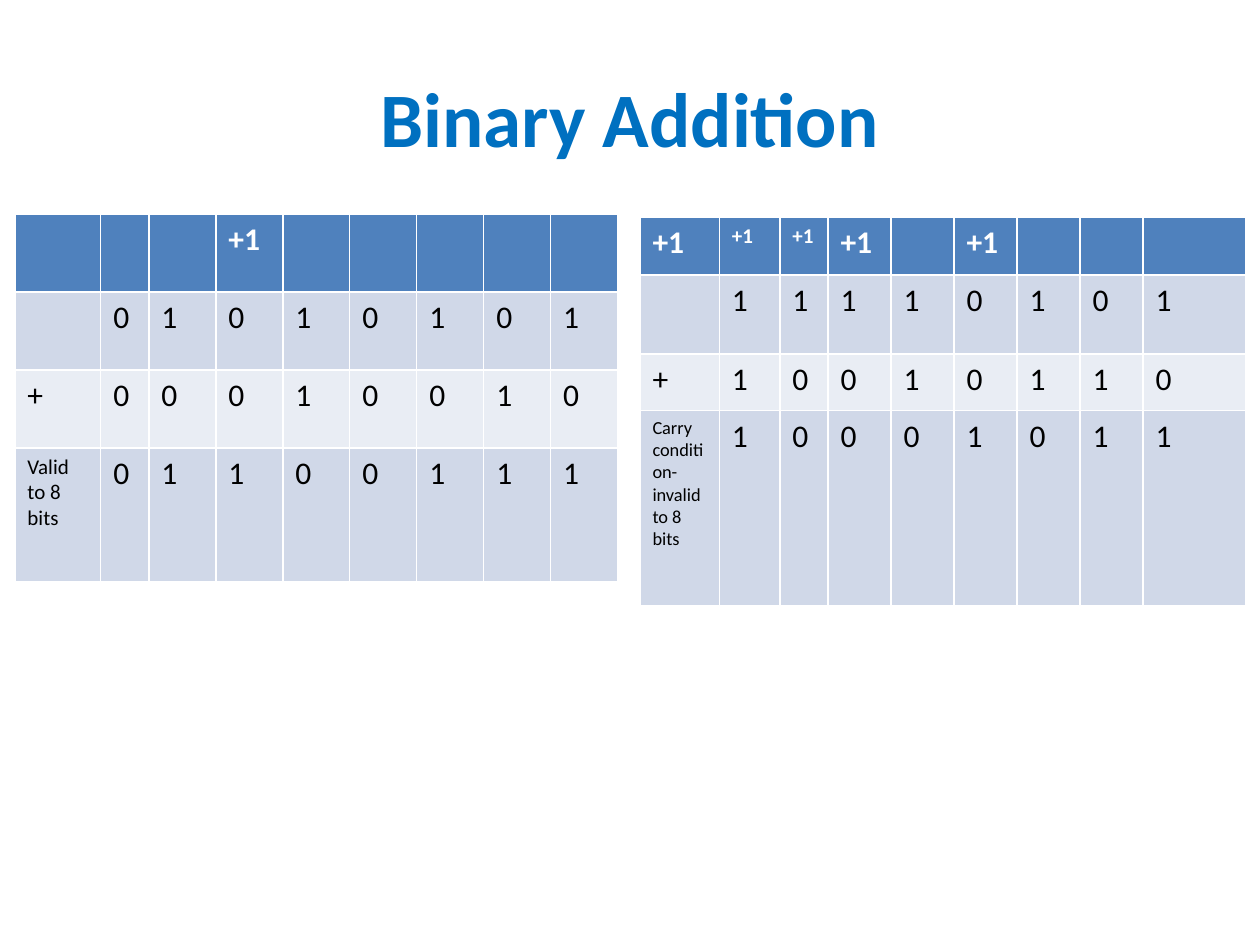
from pptx import Presentation
from pptx.dml.color import RGBColor
from pptx.enum.text import MSO_ANCHOR, PP_ALIGN
from pptx.util import Cm, Pt

FONT = "Calibri"
HEADER_FILL = "4F81BD"
BAND_FILLS = ("D0D8E8", "E9EDF4")


def colour(hex_code):
    """Return the colour for a hex string."""
    return RGBColor.from_string(hex_code)


def add_run(paragraph, text, size, hex_code, bold=False):
    """Append one formatted run to a paragraph."""
    run = paragraph.add_run()
    run.text = text
    run.font.name = FONT
    run.font.size = Pt(size)
    run.font.bold = bold
    run.font.color.rgb = colour(hex_code)


def set_title(slide, text):
    """Place and fill the title placeholder."""
    title = slide.shapes.title
    title.left, title.top, title.width, title.height = Cm(1.27), Cm(0.76), Cm(22.86), Cm(3.18)
    frame = title.text_frame
    frame.vertical_anchor = MSO_ANCHOR.MIDDLE
    heading = frame.paragraphs[0]
    heading.alignment = PP_ALIGN.CENTER
    add_run(heading, text, 44, "0070C0", bold=True)


def add_sum(slide, left, top, widths, heights, rows, small_sizes):
    """Add a binary sum with carries in its header row."""
    frame = slide.shapes.add_table(len(rows), len(widths), Cm(left), Cm(top),
                                   Cm(sum(widths)), Cm(sum(heights)))
    sum_table = frame.table
    for column, width in zip(sum_table.columns, widths):
        column.width = Cm(width)
    for row, height in zip(sum_table.rows, heights):
        row.height = Cm(height)
    for r, entries in enumerate(rows):
        is_header = r == 0
        for c, entry in enumerate(entries):
            cell = sum_table.cell(r, c)
            cell.fill.solid()
            cell.fill.fore_color.rgb = colour(HEADER_FILL if is_header else BAND_FILLS[(r - 1) % 2])
            paragraph = cell.text_frame.paragraphs[0]
            if entry:
                add_run(paragraph, entry, small_sizes.get((r, c), 18),
                        "FFFFFF" if is_header else "000000", bold=is_header)
            else:
                paragraph.font.size = Pt(18)


def main():
    """Build and save the binary addition slide."""
    deck = Presentation()
    deck.slide_width, deck.slide_height = Cm(25.4), Cm(19.05)
    slide = deck.slides.add_slide(deck.slide_layouts[5])
    set_title(slide, "Binary Addition")

    valid_sum = [
        ["", "", "", "+1", "", "", "", "", ""],
        ["", *"01010101"],
        ["+", *"00010010"],
        ["Valid to 8 bits", *"01100111"],
    ]
    add_sum(slide, 0.3, 4.32, [1.73, 0.97] + [1.35] * 7, [1.57] * 3 + [2.69],
            valid_sum, {(3, 0): 12})

    overflow_sum = [
        ["+1", "+1", "+1", "+1", "", "+1", "", "", ""],
        ["", *"11110101"],
        ["+", *"10010110"],
        ["Carry condition-invalid to 8 bits", *"10001011"],
    ]
    add_sum(slide, 12.9, 4.37, [1.6, 1.22, 0.97] + [1.27] * 5 + [2.08],
            [1.17, 1.6, 1.14, 3.94], overflow_sum,
            {(0, 1): 12, (0, 2): 12, (3, 0): 10.5})

    deck.save("out.pptx")


if __name__ == "__main__":
    main()
